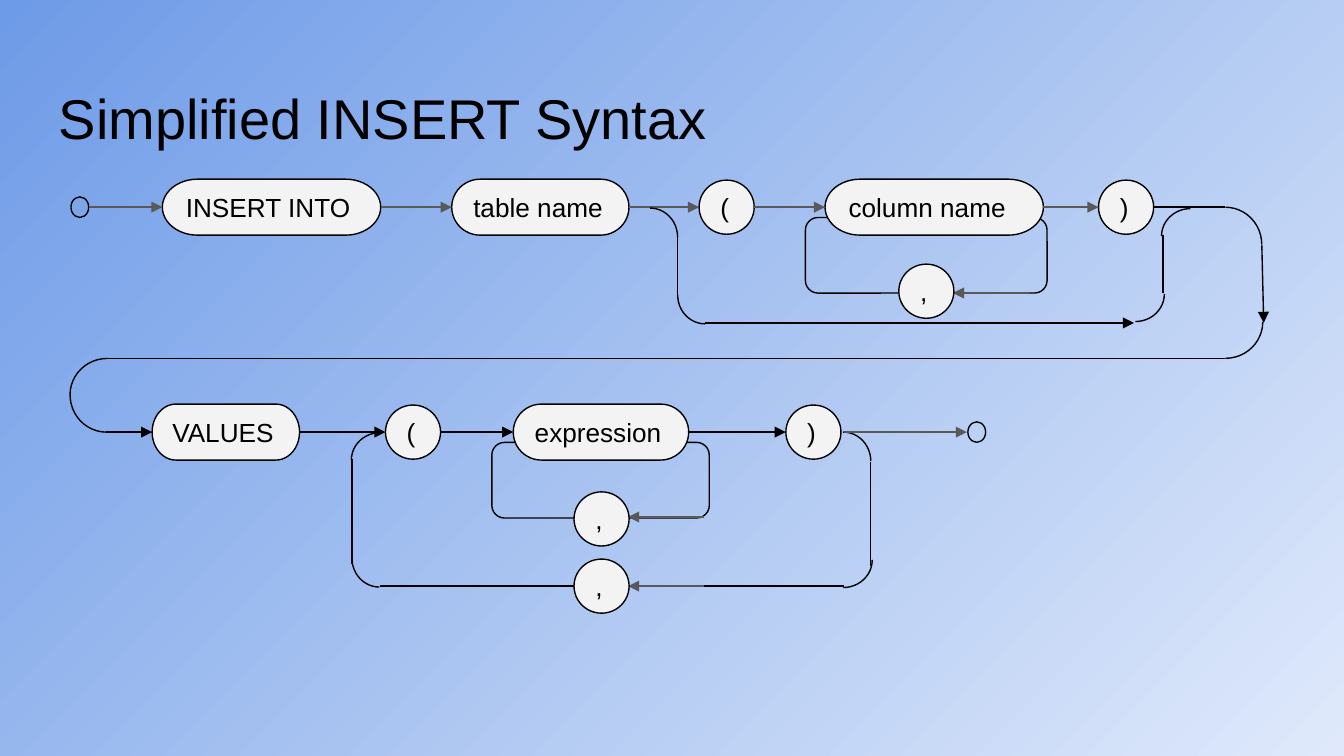
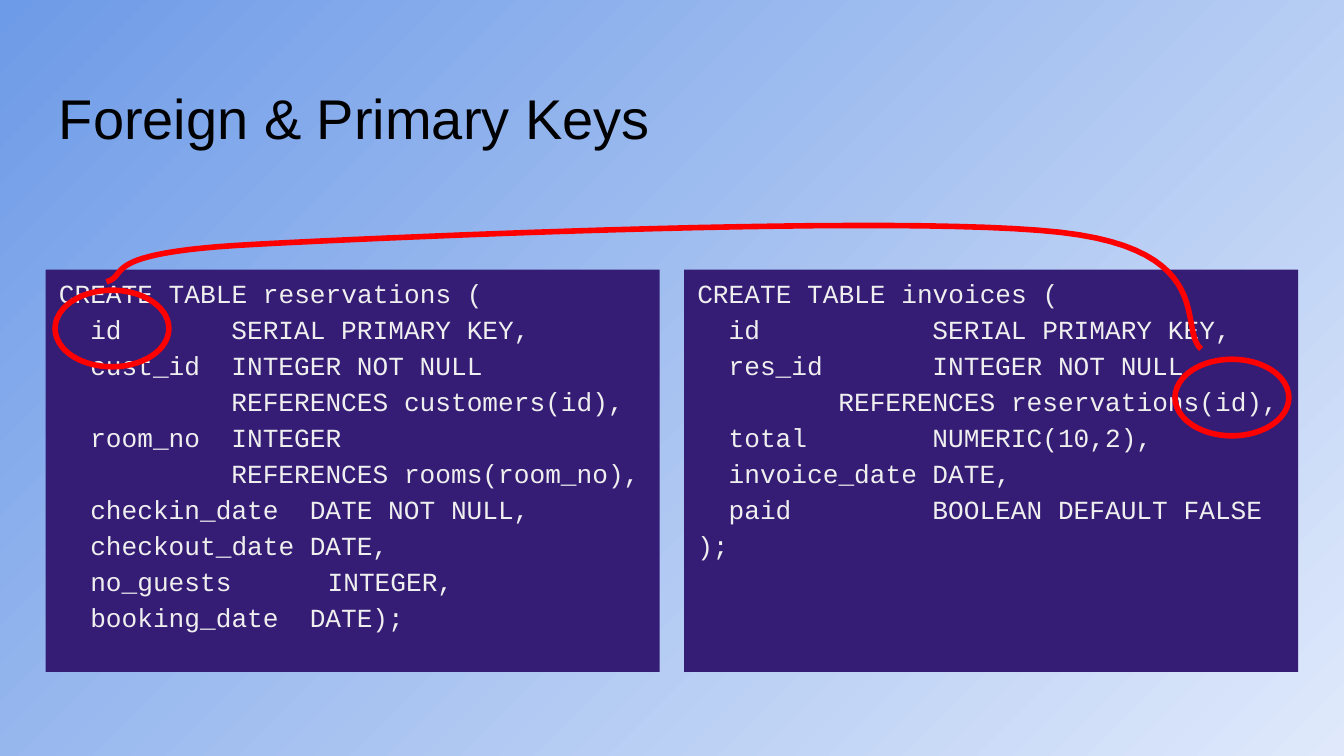
from dataclasses import dataclass
from typing import Optional, Sequence

from lxml.etree import SubElement
from pptx import Presentation
from pptx.dml.color import RGBColor
from pptx.enum.shapes import MSO_CONNECTOR, MSO_SHAPE
from pptx.enum.text import MSO_ANCHOR, PP_ALIGN
from pptx.oxml.ns import qn
from pptx.util import Pt

# Shared look
BLACK = RGBColor(0x00, 0x00, 0x00)
GREY = RGBColor(0x59, 0x59, 0x59)
PALE = RGBColor(0xF3, 0xF3, 0xF3)
RED = RGBColor(0xFF, 0x00, 0x00)
PURPLE = RGBColor(0x35, 0x1C, 0x75)
LIGHT = RGBColor(0xEF, 0xEF, 0xEF)
SKY = (RGBColor(0xDF, 0xE9, 0xFB), RGBColor(0x6E, 0x9B, 0xE7))
SANS, MONO = "Arial", "Courier New"
CHAR = 8.4  # width of one code character at 14 points

# Syntax diagram measures
TOP, LOW = 111, 231.5  # middle of each row
PILL, DISC_W, DISC_H = 30, 29.5, 29
DOT_W, DOT_H = 9.5, 11
WIDE, TIGHT = (39, 40), (29.5, 31)
TURN = {"top right": 0, "low right": 90, "low left": 180, "top left": 270}


@dataclass
class Node:
    text: str
    x: float
    mid: float
    width: float = DISC_W

    @property
    def pill(self) -> bool:
        return len(self.text) > 1


@dataclass
class Bend:
    corner: str
    x: float
    y: float
    size: tuple = TIGHT


@dataclass
class Wire:
    x1: float
    y1: float
    x2: float
    y2: float
    color: RGBColor = BLACK
    arrow: bool = False


@dataclass
class Code:
    x: float
    rows: Sequence[tuple]  # text, then tab stops in characters


def write(shape, text: str, *, font: str = SANS, size: float = 14,
          color: RGBColor = BLACK, anchor=MSO_ANCHOR.MIDDLE,
          top: float = 7.2, low: float = 7.2,
          spacing: Optional[float] = None, stops: Sequence[tuple] = ()) -> None:
    frame = shape.text_frame
    frame.word_wrap = True
    frame.vertical_anchor = anchor
    frame.margin_left = frame.margin_right = Pt(7.2)
    frame.margin_top, frame.margin_bottom = Pt(top), Pt(low)
    for i, line in enumerate(text.split("\n")):
        para = frame.add_paragraph() if i else frame.paragraphs[0]
        para.alignment = PP_ALIGN.LEFT
        if spacing:
            para.line_spacing = spacing
        if stops and stops[i]:
            tabs = SubElement(para._p.get_or_add_pPr(), qn("a:tabLst"))
            for stop in stops[i]:
                SubElement(tabs, qn("a:tab"), pos=str(Pt(stop * CHAR)), algn="l")
        run = para.add_run()
        run.text = line
        run.font.name, run.font.size = font, Pt(size)
        run.font.color.rgb = color


def paint(shape, fill: Optional[RGBColor], line: Optional[RGBColor],
          weight: float = 0.75) -> None:
    shape.shadow.inherit = False
    if fill is None:
        shape.fill.background()
    else:
        shape.fill.solid()
        shape.fill.fore_color.rgb = fill
    if line is None:
        shape.line.fill.background()
    else:
        shape.line.color.rgb = line
        shape.line.width = Pt(weight)


def place(slide, kind, x: float, y: float, w: float, h: float,
          fill: Optional[RGBColor] = None, line: Optional[RGBColor] = BLACK,
          weight: float = 0.75):
    shape = slide.shapes.add_shape(kind, Pt(x), Pt(y), Pt(w), Pt(h))
    paint(shape, fill, line, weight)
    return shape


def draw_wire(slide, wire: Wire):
    link = slide.shapes.add_connector(
        MSO_CONNECTOR.STRAIGHT, Pt(wire.x1), Pt(wire.y1), Pt(wire.x2), Pt(wire.y2))
    link.line.color.rgb = wire.color
    link.line.width = Pt(0.75)
    props = link._element.spPr
    if wire.arrow:
        SubElement(props.find(qn("a:ln")), qn("a:tailEnd"), type="triangle")
    SubElement(props, qn("a:effectLst"))
    return link


def draw_bend(slide, bend: Bend) -> None:
    arc = place(slide, MSO_SHAPE.ARC, bend.x, bend.y, *bend.size)
    arc.rotation = TURN[bend.corner]


def draw_node(slide, node: Node):
    kind = MSO_SHAPE.FLOWCHART_TERMINATOR if node.pill else MSO_SHAPE.OVAL
    high = PILL if node.pill else DISC_H
    shape = place(slide, kind, node.x, node.mid - high / 2, node.width, high, PALE)
    write(shape, node.text)
    return shape


def draw_row(slide, nodes: Sequence[Node], color: RGBColor) -> None:
    """Draw the nodes and an arrow from each one to the next."""
    shapes = [draw_node(slide, node) for node in nodes]
    for i in range(len(nodes) - 1):
        a, b = nodes[i], nodes[i + 1]
        link = draw_wire(slide, Wire(a.x + a.width, a.mid, b.x, b.mid, color, True))
        if a.pill:
            link.begin_connect(shapes[i], 3)
        if b.pill:
            link.end_connect(shapes[i + 1], 1)


def draw_dot(slide, x: float, mid: float) -> None:
    place(slide, MSO_SHAPE.OVAL, x, mid - DOT_H / 2, DOT_W, DOT_H)


def start(deck, title: str):
    """Add a slide with the shared background and title."""
    slide = deck.slides.add_slide(deck.slide_layouts[6])
    fill = slide.background.fill
    fill.gradient()
    fill.gradient_angle = 135
    for i, color in enumerate(SKY):
        fill.gradient_stops[i].position = i
        fill.gradient_stops[i].color.rgb = color
    box = slide.shapes.add_textbox(Pt(24.5), Pt(35.5), Pt(671), Pt(45))
    write(box, title, size=30, anchor=MSO_ANCHOR.TOP, top=9.5, low=0)
    return slide


# Slide 1 content
FIRST = [Node("INSERT INTO", 87, TOP, 117), Node("table name", 242, TOP, 95),
         Node("(", 374.5, TOP), Node("column name", 442, TOP, 117),
         Node(")", 588.5, TOP)]
SECOND = [Node("VALUES", 81.5, LOW, 79), Node("(", 206.5, LOW),
          Node("expression", 275, LOW, 94), Node(")", 421, LOW)]
COMMAS = [Node(",", 481.5, 156), Node(",", 307.5, 278), Node(",", 307.5, 314)]
LOOPS = [(431.5, 116.5, 129.5), (263.5, 237, 116.5)]
BENDS = [
    # from the first row to the second
    Bend("top right", 637, 111, WIDE), Bend("low right", 637, 152.5, WIDE),
    Bend("top left", 38, 191.5, WIDE), Bend("low left", 37.5, 191.5, WIDE),
    # around the column list
    Bend("top right", 333.5, 111.5), Bend("low left", 363, 142.5),
    Bend("top left", 623, 111), Bend("low right", 593.5, 142),
    # around the value list
    Bend("top right", 437, 231.5), Bend("low right", 437, 284.5),
    Bend("top left", 189, 231), Bend("low left", 188.5, 283.5),
]
WIRES = [
    Wire(618, TOP, 656.5, TOP),
    Wire(676, 131.5, 677, 173, arrow=True),
    Wire(656.5, 192, 57.5, 192),
    Wire(57, LOW, 81.5, LOW, arrow=True),
    Wire(363, 127, 363, 158),
    Wire(623, 126, 623, 157),
    Wire(377.5, 173, 607.5, 173, arrow=True),
    Wire(466.5, 247.5, 466.5, 303),
    Wire(188.5, 246, 188.5, 302),
    Wire(203.5, 314, 452, 314),
    Wire(47.5, TOP, 87, TOP, GREY, True),
    Wire(452, LOW, 518, LOW, GREY, True),
    Wire(551.5, 157, 510.5, 157, GREY, True),
    Wire(377, 277, 336.5, 277, GREY, True),
    Wire(377, 314, 336.5, 314, GREY, True),
]

# Slide 2 content
TABLES = [
    Code(24.5, [
        ("CREATE TABLE reservations (", ()),
        ("\tid\tSERIAL PRIMARY KEY,", (2, 11)),
        ("\tcust_id\tINTEGER NOT NULL", (2, 11)),
        ("\tREFERENCES customers(id),", (11,)),
        ("\troom_no\tINTEGER", (2, 11)),
        ("\tREFERENCES rooms(room_no),", (11,)),
        ("\tcheckin_date\tDATE NOT NULL,", (2, 16)),
        ("\tcheckout_date\tDATE,", (2, 16)),
        ("\tno_guests\tINTEGER,", (2, 17.14)),
        ("\tbooking_date\tDATE);", (2, 16)),
    ]),
    Code(366.5, [
        ("CREATE TABLE invoices (", ()),
        ("\tid\tSERIAL PRIMARY KEY,", (2, 15)),
        ("\tres_id\tINTEGER NOT NULL", (2, 15)),
        ("\tREFERENCES reservations(id),", (9,)),
        ("\ttotal\tNUMERIC(10,2),", (2, 15)),
        ("\tinvoice_date\tDATE,", (2, 15)),
        ("\tpaid\tBOOLEAN DEFAULT FALSE", (2, 15)),
        (");", ()),
    ]),
]
RINGS = [(29.5, 155.5), (629.5, 192.5)]
# Control points of three joined cubic curves
CURVE = [(643.5, 187), (631, 176.5), (653, 134), (568, 124.5),
         (483, 115), (221, 126.5), (135.5, 131),
         (50.5, 135.5), (70, 147.5), (57, 151)]


def trace(points: Sequence[tuple], steps: int = 24) -> list:
    """Turn joined cubic curves into a fine run of points."""
    path = [points[0]]
    for i in range(0, len(points) - 1, 3):
        for n in range(1, steps + 1):
            t = n / steps
            u = 1 - t
            parts = (u ** 3, 3 * u * u * t, 3 * u * t * t, t ** 3)
            path.append(tuple(sum(k * p[axis] for k, p in zip(parts, points[i:i + 4]))
                              for axis in (0, 1)))
    return path


def draw_syntax(deck) -> None:
    slide = start(deck, "Simplified INSERT Syntax")
    for x, y, width in LOOPS:
        place(slide, MSO_SHAPE.FLOWCHART_ALTERNATE_PROCESS, x, y, width, 40.5)
    draw_dot(slide, 38, TOP)
    draw_dot(slide, 518.5, LOW)
    draw_row(slide, FIRST, GREY)
    draw_row(slide, SECOND, BLACK)
    for bend in BENDS:
        draw_bend(slide, bend)
    for wire in WIRES:
        draw_wire(slide, wire)
    # commas cover the loop lines
    for node in COMMAS:
        draw_node(slide, node)


def draw_keys(deck) -> None:
    slide = start(deck, "Foreign & Primary Keys")
    for code in TABLES:
        panel = place(slide, MSO_SHAPE.RECTANGLE, code.x, 144.5, 329, 215.5, PURPLE, None)
        lines, stops = zip(*code.rows)
        write(panel, "\n".join(lines), font=MONO, color=LIGHT, top=1.5,
              anchor=MSO_ANCHOR.TOP, spacing=1.15, stops=stops)
    # rings on both keys and the curve between them
    for x, y in RINGS:
        place(slide, MSO_SHAPE.OVAL, x, y, 61, 41, None, RED, 3)
    path = [(Pt(x), Pt(y)) for x, y in trace(CURVE)]
    pen = slide.shapes.build_freeform(*path[0])
    pen.add_line_segments(path[1:], close=False)
    paint(pen.convert_to_shape(), None, RED, 3)


def main() -> None:
    deck = Presentation()
    deck.slide_width, deck.slide_height = Pt(720), Pt(405)
    draw_syntax(deck)
    draw_keys(deck)
    deck.save("out.pptx")


if __name__ == "__main__":
    main()
